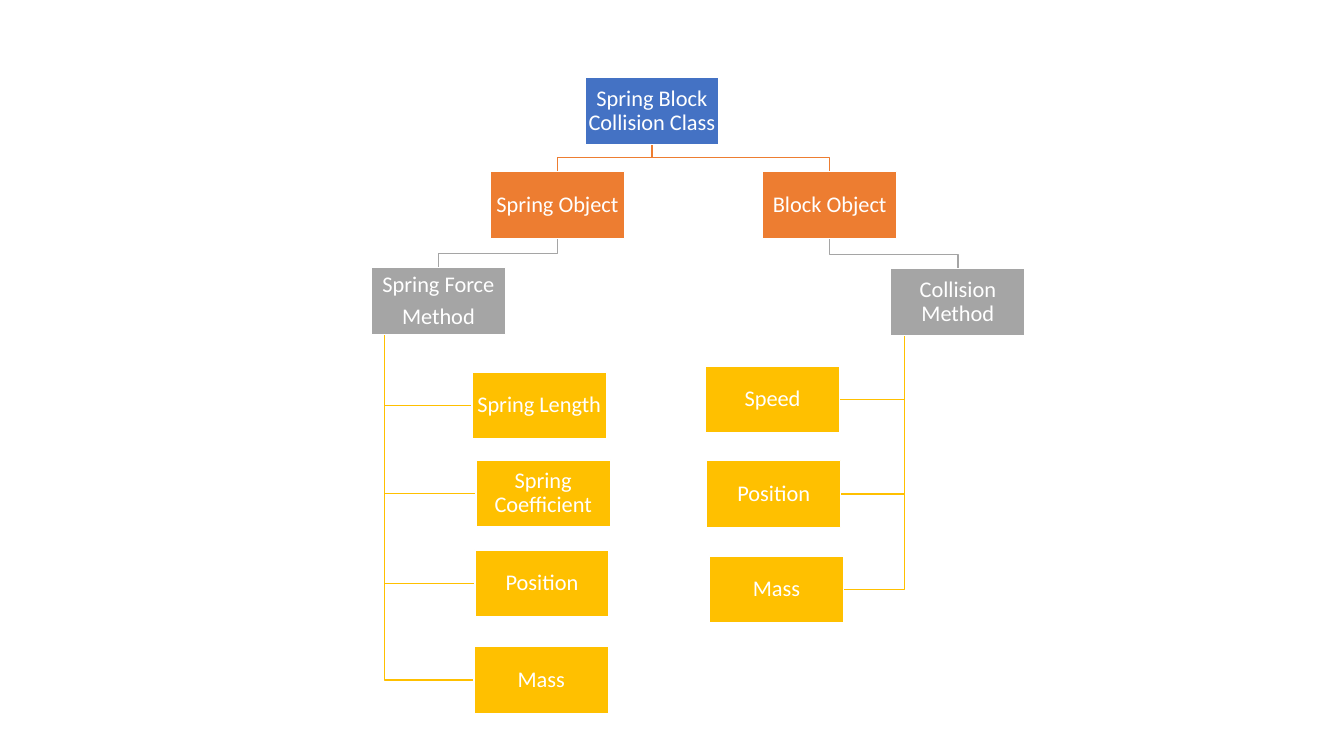
"""Build a class hierarchy chart for a spring and block collision program."""
from pptx import Presentation
from pptx.dml.color import RGBColor
from pptx.enum import shapes, text
from pptx.util import Cm, Pt

WHITE = RGBColor(0xFF, 0xFF, 0xFF)
BLUE = RGBColor(0x44, 0x72, 0xC4)
ORANGE = RGBColor(0xED, 0x7D, 0x31)
GREY = RGBColor(0xA5, 0xA5, 0xA5)
GOLD = RGBColor(0xFF, 0xC0, 0x00)
LEVEL_COLOURS = (BLUE, ORANGE, GREY, GOLD)
LEAF_LEVEL = 3

# key: (wording, parent, level, left, top)
NODES = {
    "class": ("Spring Block Collision Class", None, 0, 14.74, 1.96),
    "spring": ("Spring Object", "class", 1, 12.36, 4.32),
    "force": ("Spring Force\nMethod", "spring", 2, 9.36, 6.74),
    "length": ("Spring Length", "force", 3, 11.9, 9.37),
    "coefficient": ("Spring Coefficient", "force", 3, 12, 11.59),
    "spring position": ("Position", "force", 3, 11.97, 13.86),
    "spring mass": ("Mass", "force", 3, 11.95, 16.29),
    "block": ("Block Object", "class", 1, 19.22, 4.32),
    "collision": ("Collision Method", "block", 2, 22.45, 6.77),
    "speed": ("Speed", "collision", 3, 17.78, 9.22),
    "block position": ("Position", "collision", 3, 17.81, 11.6),
    "block mass": ("Mass", "collision", 3, 17.88, 14.01),
}
WIDTH, HEIGHT = 3.38, 1.69
ELBOW_RISE = 0.35
TRUNK_INSET = WIDTH / 10
FRAME = {
    "word_wrap": True,
    "vertical_anchor": text.MSO_ANCHOR.MIDDLE,
    "margin_left": Cm(0.03),
    "margin_right": Cm(0.03),
    "margin_top": Cm(0.03),
    "margin_bottom": Cm(0.03),
}
PARAGRAPH = {"alignment": text.PP_ALIGN.CENTER, "line_spacing": 0.9}
FONT = {"name": "Calibri", "size": Pt(16)}


def assign(target, values):
    for name, value in values.items():
        setattr(target, name, value)


def outline(shape, colour):
    shape.shadow.inherit = False
    shape.line.color.rgb = colour
    shape.line.width = Pt(1)


def link_points(parent, child):
    _, _, _, parent_left, parent_top = parent
    _, _, level, left, top = child
    bottom = parent_top + HEIGHT
    if level == LEAF_LEVEL:
        trunk, middle = parent_left + TRUNK_INSET, top + HEIGHT / 2
        edge = left if left > trunk else left + WIDTH
        return [(trunk, bottom), (trunk, middle), (edge, middle)]
    start, end, bend = parent_left + WIDTH / 2, left + WIDTH / 2, top - ELBOW_RISE
    return [(start, bottom), (start, bend), (end, bend), (end, top)]


def add_link(page, parent, child):
    start, *rest = [(Cm(x), Cm(y)) for x, y in link_points(parent, child)]
    builder = page.shapes.build_freeform(*start)
    builder.add_line_segments(rest, close=False)
    link = builder.convert_to_shape()
    link.fill.background()
    outline(link, LEVEL_COLOURS[child[2]])


def add_box(page, node):
    wording, _, level, left, top = node
    box = page.shapes.add_shape(
        shapes.MSO_SHAPE.RECTANGLE, Cm(left), Cm(top), Cm(WIDTH), Cm(HEIGHT))
    box.fill.solid()
    box.fill.fore_color.rgb = LEVEL_COLOURS[level]
    outline(box, WHITE)
    assign(box.text_frame, FRAME)
    box.text_frame.text = wording
    for index, para in enumerate(box.text_frame.paragraphs):
        assign(para, PARAGRAPH)
        para.space_before = Pt(5.6 if index else 0)
        for span in para.runs:
            assign(span.font, FONT)
            span.font.color.rgb = WHITE


deck = Presentation()
deck.slide_width, deck.slide_height = Cm(33.87), Cm(19.05)
page = deck.slides.add_slide(deck.slide_layouts[6])
for node in NODES.values():
    if node[1]:
        add_link(page, NODES[node[1]], node)
for node in NODES.values():
    add_box(page, node)
deck.save("out.pptx")
